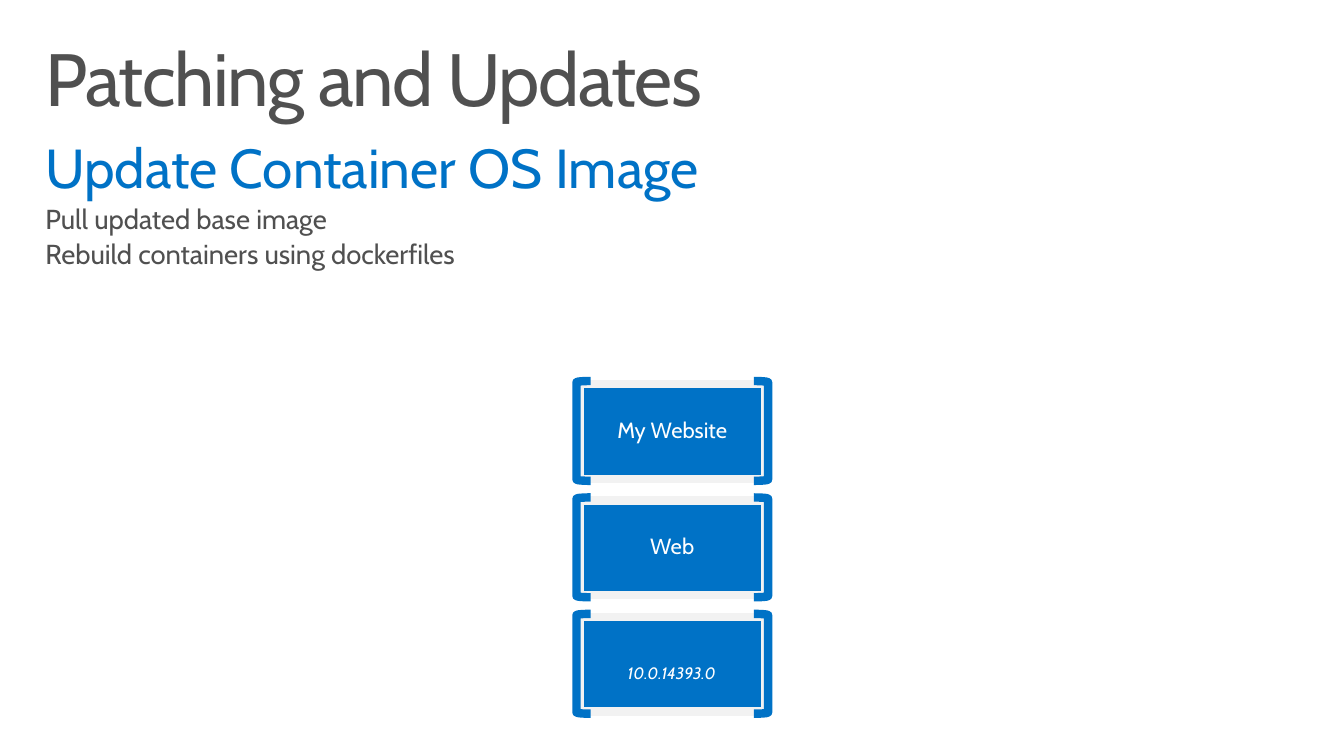
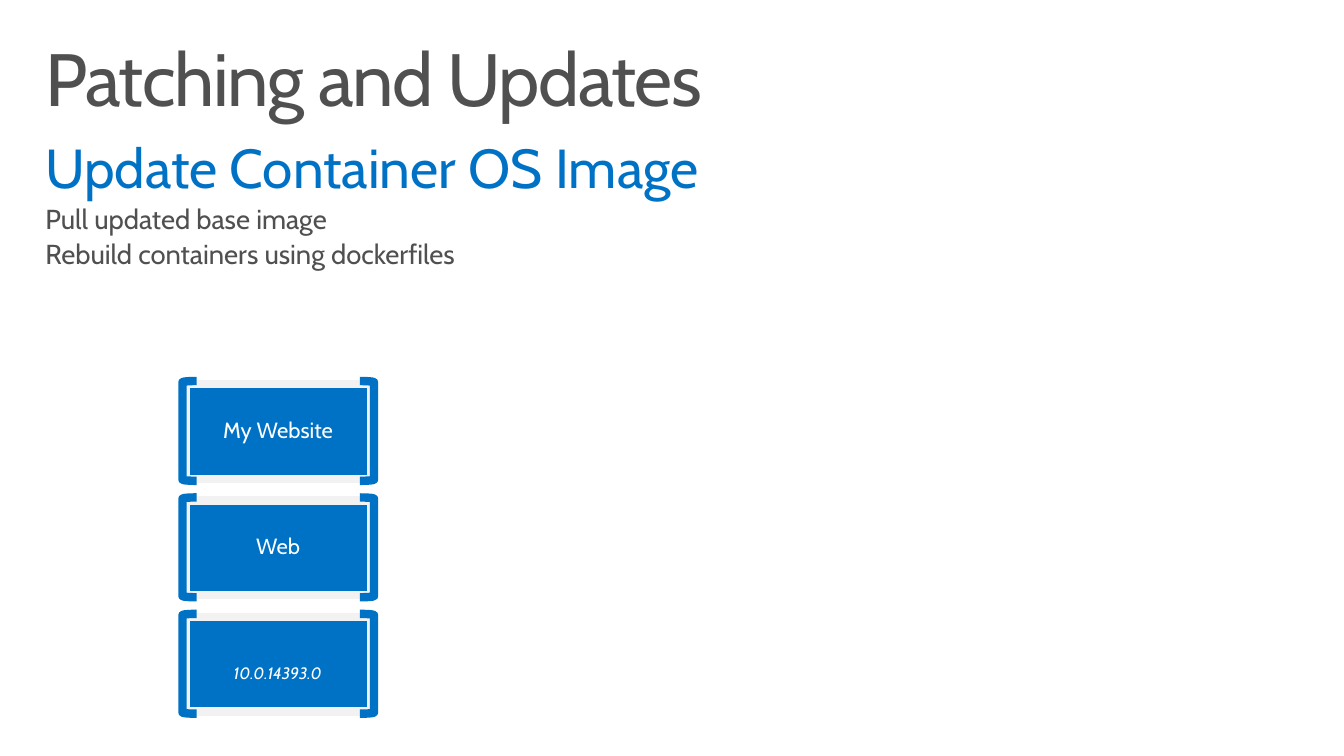
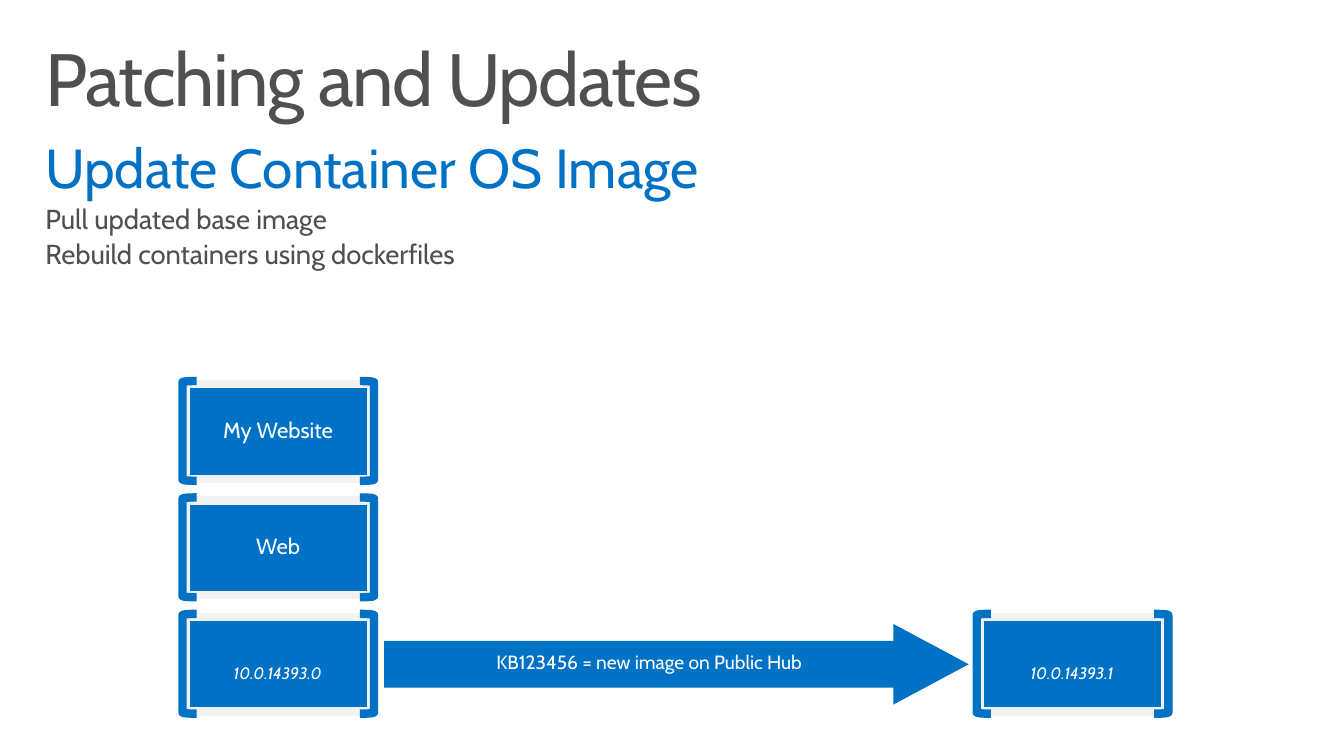
from dataclasses import dataclass

from pptx import Presentation
from pptx.dml.color import RGBColor
from pptx.enum.shapes import MSO_SHAPE as Form
from pptx.enum.text import MSO_ANCHOR as Anchor, PP_ALIGN as Align
from pptx.util import Inches, Pt


@dataclass(frozen=True)
class Theme:
    font: str = "Cabin"
    blue: RGBColor = RGBColor(0x00, 0x72, 0xC6)
    gray: RGBColor = RGBColor(0x50, 0x50, 0x50)
    pale: RGBColor = RGBColor(0xF2, 0xF2, 0xF2)
    white: RGBColor = RGBColor(0xFF, 0xFF, 0xFF)
    title: float = 52.9
    head: float = 39.2
    item: float = 19.6
    label: float = 15.7
    note: float = 13.7
    build: float = 11.8
    edge: float = 6


theme = Theme()
deck = Presentation()
deck.slide_width, deck.slide_height = Inches(13.33), Inches(7.5)

# Grid of 100 columns by 100 rows
col, row = deck.slide_width / 100, deck.slide_height / 100
left, wide = 2.18, 95.6
top, pitch = 50.8, 15.4
card_w, card_h = 13.8, 12.53
mid, near, far = 43.12, 13.8, 72.9


def place(x, y, w, h):
    return int(x * col), int(y * row), int(w * col), int(h * row)


def write(shape, lines, align=Align.CENTER, anchor=Anchor.MIDDLE, pad=(0.2, 0.16)):
    """Fill a shape with lines of (text, size, colour)."""
    frame = shape.text_frame
    frame.word_wrap, frame.vertical_anchor = True, anchor
    frame.margin_left = frame.margin_right = Inches(pad[0])
    frame.margin_top = frame.margin_bottom = Inches(pad[1])
    frame.text = "\n".join(line[0] for line in lines)
    for i, (para, (_, size, color)) in enumerate(zip(frame.paragraphs, lines)):
        para.alignment, para.line_spacing = align, 0.9
        para.space_before = Pt(round(size / 5, 1) if i else 0)
        for run in para.runs:
            font = run.font
            font.name, font.size, font.color.rgb = theme.font, Pt(size), color
    return frame


# Cards on each slide: column, row, text
stack = ("My Website", "Web", "10.0.14393.0")
plans = [
    [(mid, i, text) for i, text in enumerate(stack)],
    [(near, i, text) for i, text in enumerate(stack)],
    [(near, i, text) for i, text in enumerate(stack)] + [(far, 2, "10.0.14393.1")],
]

for step, cards in enumerate(plans):
    slide = deck.slides.add_slide(deck.slide_layouts[5])

    # Title
    title = slide.shapes.title
    title.left, title.top, title.width, title.height = place(left, 4.27, wide, 13.07)
    frame = write(title, [("Patching and Updates", theme.title, theme.gray)],
                  Align.LEFT, Anchor.TOP, (0.16, 0.1))
    frame.paragraphs[0].runs[0].font._element.set("spc", "-100")

    # Heading and points
    body = slide.shapes.add_textbox(*place(left, 17.33, wide, 20.27))
    write(body, [("Update Container OS Image", theme.head, theme.blue),
                 ("Pull updated base image", theme.item, theme.gray),
                 ("Rebuild containers using dockerfiles", theme.item, theme.gray)],
          Align.LEFT, Anchor.TOP, (0.16, 0.1))

    # Arrow to the new image
    if step == 2:
        arrow = slide.shapes.add_shape(Form.RIGHT_ARROW, *place(28.58, 82.53, 43.5, 10.67))
        arrow.shadow.inherit = False
        arrow.adjustments[0], arrow.adjustments[1] = 0.582, 0.934
        arrow.fill.solid()
        arrow.fill.fore_color.rgb = theme.blue
        arrow.line.fill.background()
        note = slide.shapes.add_textbox(*place(28.58, 84.27, 39.45, 6.93))
        frame = write(note, [("KB123456 = new image on Public Hub", theme.note, theme.white)])
        frame.paragraphs[0].space_after = Pt(5.9)

    # Bracketed cards
    for x, level, text in cards:
        y = top + level * pitch
        group = slide.shapes.add_group_shape()
        card = group.shapes.add_shape(Form.RECTANGLE, *place(x, y, card_w, card_h))
        card.shadow.inherit = False
        card.fill.solid()
        card.fill.fore_color.rgb = theme.blue
        card.line.color.rgb, card.line.width = theme.pale, Pt(theme.edge)
        for form, shift in ((Form.RIGHT_BRACKET, 12.98), (Form.LEFT_BRACKET, -0.22)):
            side = group.shapes.add_shape(form, *place(x + shift, y - 0.4, 1.05, 13.2))
            side.shadow.inherit = False
            side.fill.background()
            side.line.color.rgb, side.line.width = theme.blue, Pt(theme.edge)
        if level < 2:
            write(card, [(text, theme.label, theme.white)])
        else:
            build = group.shapes.add_textbox(*place(x + 0.3, y + 5.2, 13.12, 6.53))
            frame = write(build, [(text, theme.build, theme.white)], anchor=Anchor.TOP)
            frame.paragraphs[0].space_after = Pt(5.9)
            frame.paragraphs[0].runs[0].font.italic = True

deck.save("out.pptx")
